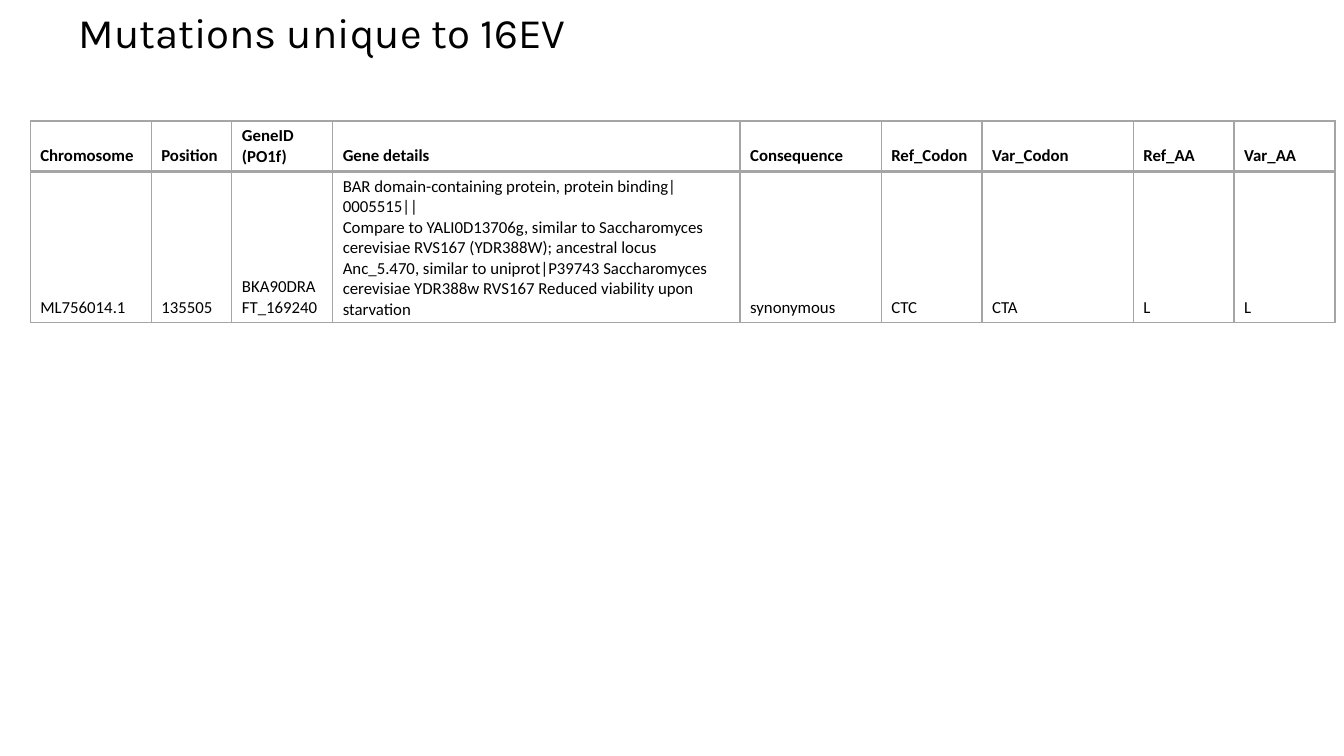
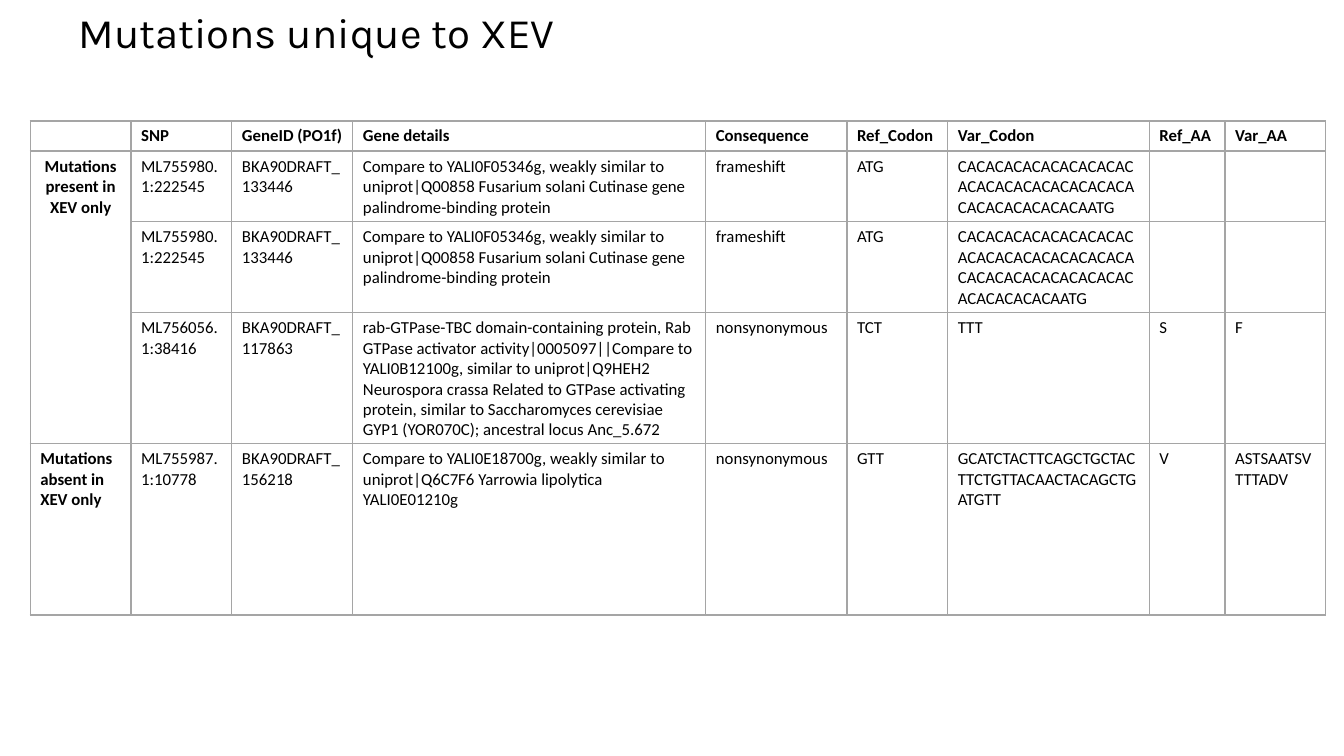
from lxml.etree import SubElement
from pptx import Presentation
from pptx.dml.color import RGBColor
from pptx.enum.text import MSO_ANCHOR, PP_ALIGN
from pptx.oxml.ns import qn
from pptx.util import Inches, Pt

BLANK_LAYOUT = 6
EDGES = {"left": "a:lnL", "right": "a:lnR", "top": "a:lnT", "bottom": "a:lnB"}


def color(hex_string):
    return RGBColor.from_string(hex_string)


def grid(count):
    """Length of a number of grid columns or rows, ten to the inch."""
    return Inches(round(count / 10, 2))


class MutationDeck:
    """Holds the shared style, the deck and the current slide."""

    INK = "000000"
    RULE = "A5A5A5"
    TITLE_FONT, TITLE_SIZE = "Karla", 30
    TABLE_FONT, TABLE_SIZE = "Calibri", 12
    TABLE_LEFT, TABLE_TOP = 3, 12
    THIN, THICK = 1, 2

    def __init__(self):
        self.deck = Presentation()
        self.deck.slide_width = Inches(13.33)
        self.deck.slide_height = Inches(7.5)
        self.page = None

    def add_page(self, title):
        layout = self.deck.slide_layouts[BLANK_LAYOUT]
        self.page = self.deck.slides.add_slide(layout)
        self.add_title(title)

    def set_font(self, font, name, size, bold=False):
        font.name = name
        font.size = Pt(size)
        font.bold = bold
        font.color.rgb = color(self.INK)

    def add_title(self, text):
        box = self.page.shapes.add_textbox(grid(6.8), grid(0.7), grid(117.4), grid(10.3))
        box.text_frame.word_wrap = True
        para = box.text_frame.paragraphs[0]
        para.text = text
        para.line_spacing = 0.9
        self.set_font(para.font, self.TITLE_FONT, self.TITLE_SIZE)

    def add_table(self, widths, heights, rows, anchor=MSO_ANCHOR.TOP,
                  row_labels=False, body_top=THIN):
        """Draw rows of text; body_top is the weight above the first body row."""
        frame = self.page.shapes.add_table(
            len(rows), len(widths), grid(self.TABLE_LEFT), grid(self.TABLE_TOP),
            grid(sum(widths)), grid(sum(heights)))
        table = frame.table
        table.first_row = table.horz_banding = False
        for column, width in zip(table.columns, widths):
            column.width = grid(width)
        for row, height in zip(table.rows, heights):
            row.height = grid(height)
        for row_index, texts in enumerate(rows):
            for column_index, text in enumerate(texts):
                cell = table.cell(row_index, column_index)
                bold = row_index == 0 or (row_labels and column_index == 0)
                self.fill_cell(cell, text, bold, anchor)
                self.rule_cell(cell,
                               top=body_top if row_index == 1 else self.THIN,
                               bottom=self.THICK if row_index == 0 else self.THIN)
                cell.fill.background()
        return table

    def fill_cell(self, cell, text, bold, anchor):
        cell.text = text
        cell.vertical_anchor = anchor
        for para in cell.text_frame.paragraphs:
            self.set_font(para.font, self.TABLE_FONT, self.TABLE_SIZE, bold)
            if not text:
                SubElement(para._p, qn("a:endParaRPr"), sz=str(self.TABLE_SIZE * 100))

    def rule_cell(self, cell, **weights):
        properties = cell._tc.get_or_add_tcPr()
        for edge, tag in EDGES.items():
            weight = weights.get(edge, self.THIN)
            line = SubElement(properties, qn(tag), w=str(Pt(weight)))
            fill = SubElement(line, qn("a:solidFill"))
            SubElement(fill, qn("a:srgbClr"), val=self.RULE)

    def merge_row_label(self, table, first, last):
        """Join the cells of the first column and centre their label."""
        label = table.cell(first, 0)
        label.merge(table.cell(last, 0))
        for para in label.text_frame.paragraphs:
            para.alignment = PP_ALIGN.CENTER

    def save(self):
        self.deck.save("out.pptx")


SHARED_HEADINGS = ("GeneID (PO1f)", "Gene details", "Consequence", "Ref_Codon",
                   "Var_Codon", "Ref_AA", "Var_AA")

UNIQUE_TO_16EV = [
    ("Chromosome", "Position", *SHARED_HEADINGS),
    ("ML756014.1", "135505", "BKA90DRAFT_169240",
     "BAR domain-containing protein, protein binding|0005515||\n"
     "Compare to YALI0D13706g, similar to Saccharomyces cerevisiae RVS167 (YDR388W); "
     "ancestral locus Anc_5.470, similar to uniprot|P39743 Saccharomyces cerevisiae "
     "YDR388w RVS167 Reduced viability upon starvation",
     "synonymous", "CTC", "CTA", "L", "L"),
]

CUTINASE_FRAMESHIFT = (
    "ML755980.1:222545", "BKA90DRAFT_133446",
    "Compare to YALI0F05346g, weakly similar to uniprot|Q00858 Fusarium solani "
    "Cutinase gene palindrome-binding protein",
    "frameshift", "ATG")

UNIQUE_TO_XEV = [
    ("", "SNP", *SHARED_HEADINGS),
    ("Mutations present in XEV only", *CUTINASE_FRAMESHIFT,
     "CACACACACACACACACACACACACACACACACACACACACACACACACACAATG", "", ""),
    ("", *CUTINASE_FRAMESHIFT,
     "CACACACACACACACACACACACACACACACACACACACACACACACACACACACACACACACACACAATG", "", ""),
    ("", "ML756056.1:38416", "BKA90DRAFT_117863",
     "rab-GTPase-TBC domain-containing protein, Rab GTPase activator activity|0005097||"
     "Compare to YALI0B12100g, similar to uniprot|Q9HEH2 Neurospora crassa Related to "
     "GTPase activating protein, similar to Saccharomyces cerevisiae GYP1 (YOR070C); "
     "ancestral locus Anc_5.672",
     "nonsynonymous", "TCT", "TTT", "S", "F"),
    ("Mutations absent in XEV only", "ML755987.1:10778", "BKA90DRAFT_156218",
     "Compare to YALI0E18700g, weakly similar to uniprot|Q6C7F6 Yarrowia lipolytica "
     "YALI0E01210g",
     "nonsynonymous", "GTT", "GCATCTACTTCAGCTGCTACTTCTGTTACAACTACAGCTGATGTT",
     "V", "ASTSAATSVTTTADV"),
]


def main():
    deck = MutationDeck()

    deck.add_page("Mutations unique to 16EV")
    deck.add_table([12, 8, 10, 40.4, 14, 10, 15, 10, 10], [5, 15], UNIQUE_TO_16EV,
                   anchor=MSO_ANCHOR.BOTTOM, body_top=deck.THICK)

    deck.add_page("Mutations unique to XEV")
    table = deck.add_table([10, 10, 12, 35, 14, 10, 20, 7.5, 10], [3, 7, 9, 13, 17],
                           UNIQUE_TO_XEV, row_labels=True)
    deck.merge_row_label(table, 1, 3)

    deck.save()


if __name__ == "__main__":
    main()
